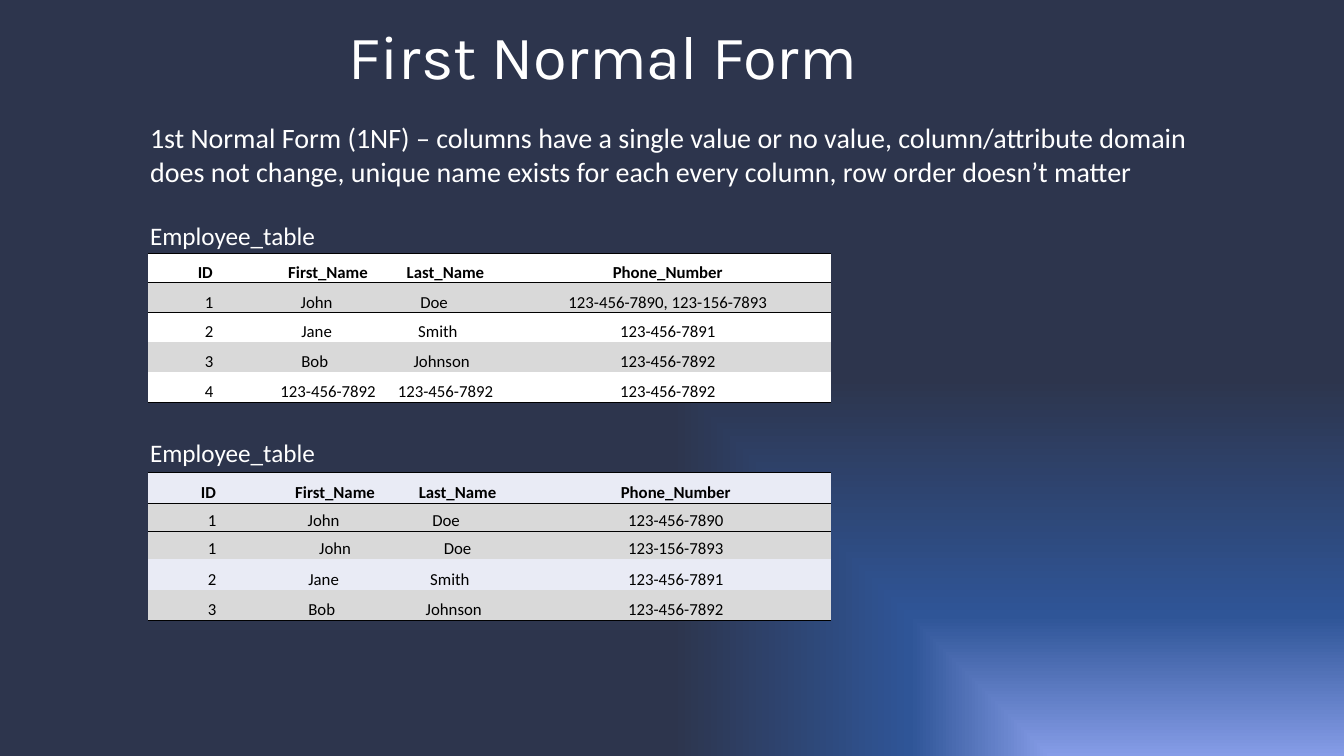
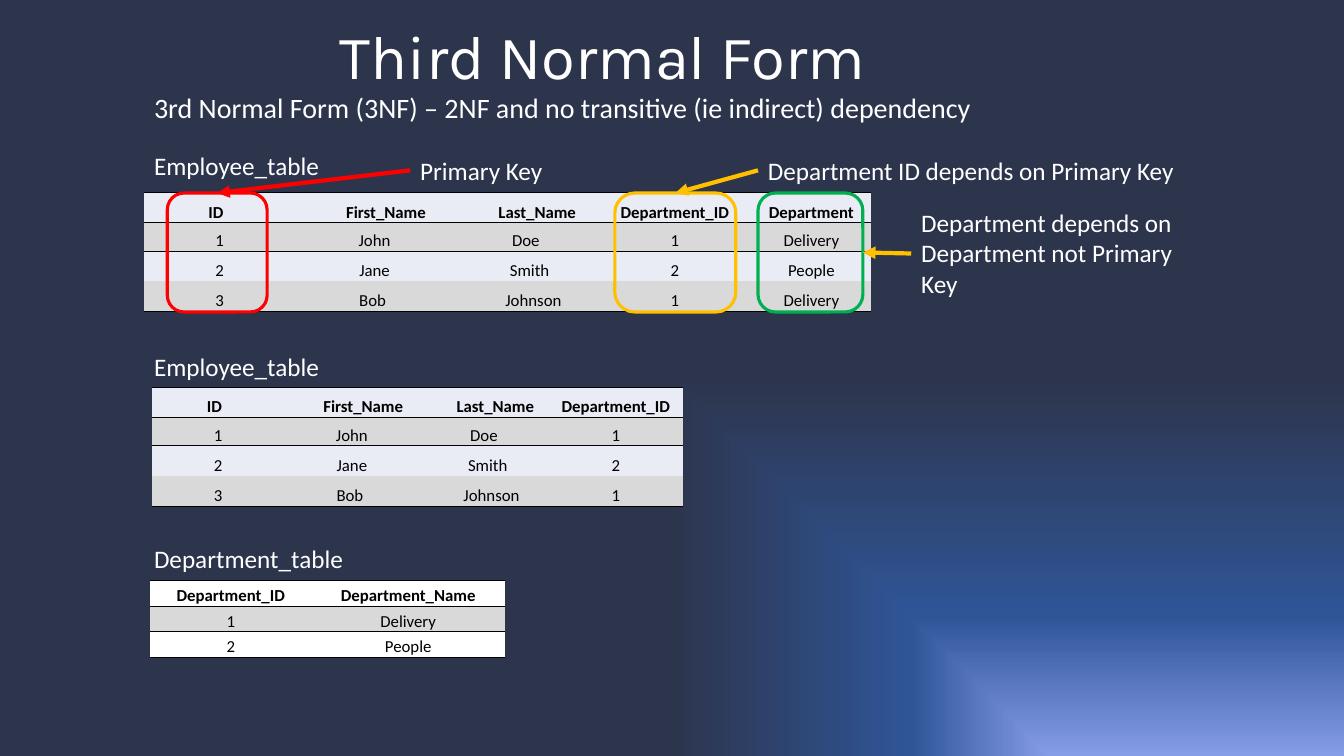
from dataclasses import dataclass

from pptx import Presentation, util as u
from pptx.dml.color import RGBColor
from pptx.enum import shapes, text
from pptx.oxml import parse_xml
from pptx.oxml.ns import nsdecls, qn


@dataclass(frozen=True)
class Theme:
    ink: str = "000000"
    white: str = "FFFFFF"
    grey: str = "D9D9D9"
    pale: str = "E9EBF5"
    red: str = "FF0000"
    gold: str = "FFC000"
    green: str = "00B050"
    glow: tuple = ((0, "859CE7"), (37, "2F5597"), (100, "2D354D"))
    head: str = "Karla"
    body: str = "Calibri"
    title: int = 44
    lead: int = 20
    note: int = 18
    cell: int = 12
    rule: float = 0.5
    frame: float = 2.25
    arrow: float = 3
    inset: float = 0.1
    space: float = 0.38
    plain: str = "{2D5ABB26-0587-4C30-8999-92F81FD0307C}"


T = Theme()
COLS, ROWS = 133.33, 75
SHIFT = {"ID": 2, "John": 6, "Jane": 6, "Bob": 7, "Doe": 6, "Smith": 4, "Johnson": 2}


def grid(*cells):
    return [u.Inches(c / 10) for c in cells]


def rgb(tone):
    return RGBColor.from_string(tone)


class Deck:
    def __init__(self):
        self.file = Presentation()
        self.file.slide_width, self.file.slide_height = grid(COLS, ROWS)
        self.slide = None
        self.glow()

    def glow(self):
        base = self.file.slide_master
        base.background.fill.solid()
        old = base.element.find(".//" + qn("p:bgPr")).find(qn("a:solidFill"))
        stops = "".join(
            f'<a:gs pos="{pos * 1000}"><a:srgbClr val="{tone}"/></a:gs>'
            for pos, tone in T.glow
        )
        old.getparent().replace(old, parse_xml(
            f'<a:gradFill {nsdecls("a")} rotWithShape="1"><a:gsLst>{stops}</a:gsLst>'
            '<a:path path="rect"><a:fillToRect l="100000" t="100000"/></a:path>'
            '</a:gradFill>'
        ))

    def page(self, title):
        self.slide = self.file.slides.add_slide(self.file.slide_layouts[6])
        self.label(title, 26.5, 1.3, 66.6, 8.4, T.title, T.head, True, text.PP_ALIGN.CENTER)

    def style(self, para, size, face, tone, bold=False, align=None):
        para.alignment = align
        font = para.font
        font.size, font.name, font.bold = u.Pt(size), face, bold
        font.color.rgb = rgb(tone)

    def label(self, words, x, y, w, h=4, size=T.note, face=T.body, wrap=False, align=None):
        box = self.slide.shapes.add_textbox(*grid(x, y, w, h))
        frame = box.text_frame
        frame.word_wrap = wrap
        frame.auto_size = text.MSO_AUTO_SIZE.SHAPE_TO_FIT_TEXT
        frame.text = words
        self.style(frame.paragraphs[0], size, face, T.white, align=align)
        return box

    def edge(self, cell, side):
        cell._tc.get_or_add_tcPr().append(parse_xml(
            f'<a:{side} {nsdecls("a")} w="{u.Pt(T.rule)}"><a:solidFill>'
            f'<a:srgbClr val="{T.ink}"/></a:solidFill></a:{side}>'
        ))

    def table(self, x, y, wide, high, rows, tone, even=None):
        shape = self.slide.shapes.add_table(
            len(rows), len(wide), *grid(x, y, sum(wide), sum(high)))
        table = shape.table
        table.first_row = table.horz_banding = False
        table._tbl.tblPr.find(qn("a:tableStyleId")).text = T.plain
        for col, size in zip(table.columns, grid(*wide)):
            col.width = size
        for row, size in zip(table.rows, grid(*high)):
            row.height = size
        for r, row in enumerate(rows):
            odd = r > 0 and int(row[0]) % 2
            for c, word in enumerate(row):
                cell = table.cell(r, c)
                if r < 2:
                    self.edge(cell, "lnT")
                if r in (0, len(rows) - 1):
                    self.edge(cell, "lnB")
                cell.fill.solid()
                cell.fill.fore_color.rgb = rgb(T.grey if odd else tone)
                shift = 0 if r == even else SHIFT.get(word, 0) * T.space
                cell.margin_left, cell.margin_top, cell.margin_right, cell.margin_bottom = grid(
                    T.inset, T.inset, T.inset + shift, 0)
                cell.vertical_anchor = text.MSO_ANCHOR.BOTTOM
                cell.text = word
                self.style(cell.text_frame.paragraphs[0], T.cell, T.body, T.ink,
                           r == 0, text.PP_ALIGN.CENTER)

    def ring(self, x, y, w, h, tone):
        box = self.slide.shapes.add_shape(
            shapes.MSO_SHAPE.ROUNDED_RECTANGLE, *grid(x, y, w, h))
        box.shadow.inherit = False
        box.fill.background()
        box.line.color.rgb = rgb(tone)
        box.line.width = u.Pt(T.frame)
        return box

    def arrow(self, note, box, side, tone):
        line = self.slide.shapes.add_connector(shapes.MSO_CONNECTOR.STRAIGHT, 0, 0, 0, 0)
        line.begin_connect(note, 1)
        line.end_connect(box, side)
        line.line.color.rgb = rgb(tone)
        line.line.width = u.Pt(T.arrow)
        line.line._get_or_add_ln().append(
            parse_xml(f'<a:tailEnd {nsdecls("a")} type="triangle"/>'))
        line._element.spPr.append(parse_xml(f'<a:effectLst {nsdecls("a")}/>'))


NAMES = ("ID", "First_Name", "Last_Name")
JOHN, JANE, BOB = ("1", "John", "Doe"), ("2", "Jane", "Smith"), ("3", "Bob", "Johnson")
HIGH = [3, 2.8, 3, 3]


def first(deck):
    deck.page("First Normal Form")
    deck.label(
        "1st Normal Form (1NF) – columns have a single value or no value, "
        "column/attribute domain does not change, unique name exists for each "
        "every column, row order doesn’t matter",
        13.9, 11.5, 107.9, 7.7, T.lead, wrap=True)
    for y in (21.4, 42.9):
        deck.label("Employee_table", 13.9, y, 18.6)
    head = (*NAMES, "Phone_Number")
    tel = "123-456-7892"
    jane, bob = (*JANE, "123-456-7891"), (*BOB, tel)
    deck.table(14.7, 25.1, [12.1, 11.5, 11.8, 32.3], [2.96] * 5, [
        head, (*JOHN, "123-456-7890, 123-156-7893"), jane, bob, ("4", tel, tel, tel),
    ], T.white)
    deck.table(14.7, 46.9, [12.7, 11.7, 12.6, 30.7], [3, 2.8, 2.8, 3, 3], [
        head, (*JOHN, "123-456-7890"), (*JOHN, "123-156-7893"), jane, bob,
    ], T.pale, even=2)


def third(deck):
    deck.page("Third Normal Form")
    deck.label("3rd Normal Form (3NF) – 2NF and no transitive (ie indirect) dependency",
               14.3, 8.5, 83.9, 4.4, T.lead)
    for name, y, w in (("Employee_table", 14.4, 18.6), ("Employee_table", 34.4, 18.6),
                       ("Department_table", 53.4, 21)):
        deck.label(name, 14.3, y, w)
    staff = [(*NAMES, "Department_ID", "Department"), (*JOHN, "1", "Delivery"),
             (*JANE, "2", "People"), (*BOB, "1", "Delivery")]
    deck.table(14.3, 19.1, [15, 18, 12, 15.3, 11.8], HIGH, staff, T.pale)
    deck.table(15.1, 38.4, [13.1, 15.7, 10.5, 13.4], HIGH, [row[:4] for row in staff], T.pale)
    deck.table(14.9, 57.6, [16, 19.2], [2.53] * 3, [
        ("Department_ID", "Department_Name"), ("1", "Delivery"), ("2", "People"),
    ], T.white)
    key, dept, name = (
        deck.ring(x, 19.15, w, 11.8, tone)
        for x, w, tone in ((16.6, 9.9, T.red), (61, 12, T.gold), (75.2, 10.4, T.green)))
    main = deck.label("Primary Key", 40.7, 14.9, 14.3)
    link = deck.label("Department ID depends on Primary Key", 75.2, 14.9, 42.8)
    loose = deck.label("Department depends on Department not Primary Key",
                       90.4, 20.1, 27.6, 10.1, wrap=True)
    deck.arrow(main, key, 0, T.red)
    deck.arrow(link, dept, 0, T.gold)
    deck.arrow(loose, name, 3, T.gold)


def main():
    deck = Deck()
    first(deck)
    third(deck)
    deck.file.save("out.pptx")


if __name__ == "__main__":
    main()
